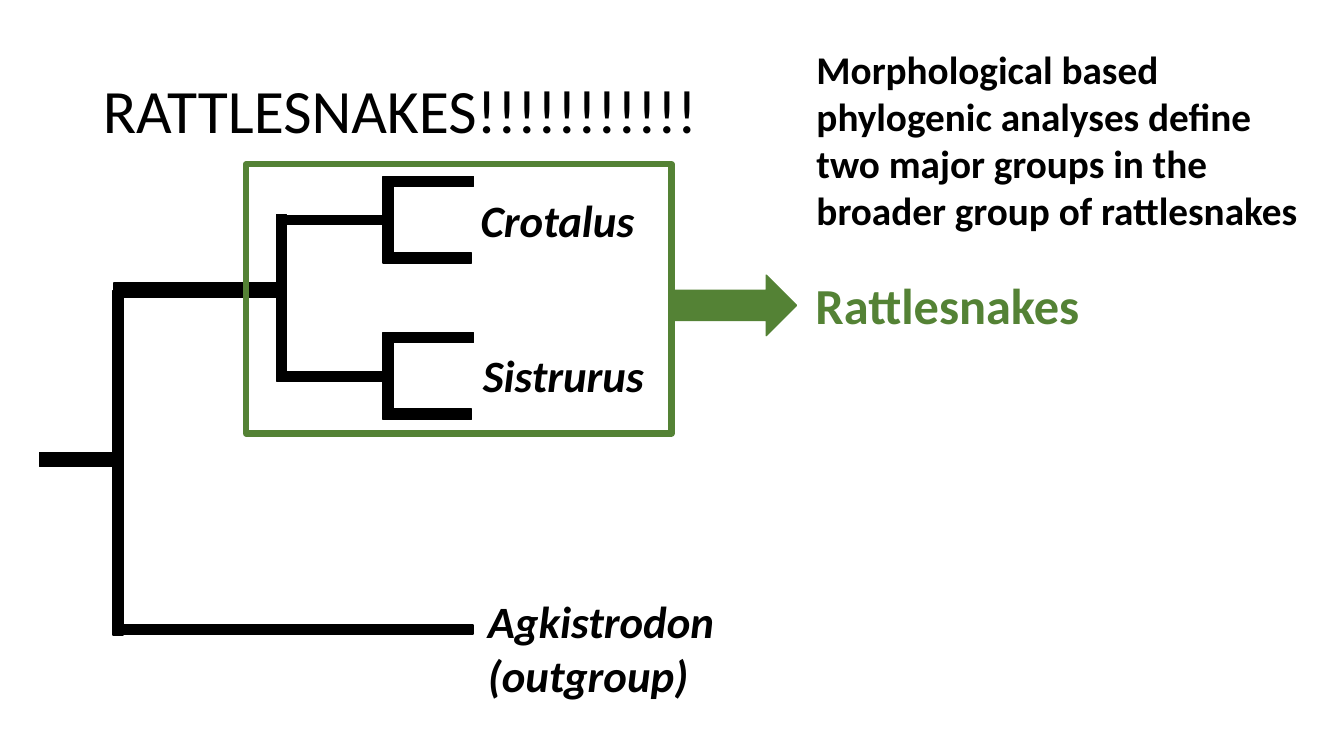
import pptx
import pptx.util
import pptx.dml.color
import pptx.enum.shapes
import pptx.enum.text

Inches = pptx.util.Inches
Pt = pptx.util.Pt
RGBColor = pptx.dml.color.RGBColor
MSO_SHAPE = pptx.enum.shapes.MSO_SHAPE

BLACK = RGBColor(0x00, 0x00, 0x00)
GREEN = RGBColor(0x54, 0x82, 0x35)


def add_figure(kind, box, color, line_width=1, filled=True):
    sp = slide.shapes.add_shape(kind, *[Inches(v) for v in box])
    sp.shadow.inherit = False
    if filled:
        sp.fill.solid()
        sp.fill.fore_color.rgb = color
    else:
        sp.fill.background()
    sp.line.color.rgb = color
    sp.line.width = Pt(line_width)


def write_text(sp, text, size, color=BLACK, bold=True, italic=False):
    tf = sp.text_frame
    tf.word_wrap = True
    tf.text = text
    for p in tf.paragraphs:
        for r in p.runs:
            r.font.name = "Calibri"
            r.font.size = Pt(size)
            r.font.bold = bold
            r.font.italic = italic
            r.font.color.rgb = color


prs = pptx.Presentation()
prs.slide_width = Inches(13.33)
prs.slide_height = Inches(7.5)
slide = prs.slides.add_slide(prs.slide_layouts[5])

# Title
title = slide.shapes.title
title.left, title.top = Inches(0.92), Inches(0.4)
title.width, title.height = Inches(11.5), Inches(1.45)
write_text(title, "RATTLESNAKES!!!!!!!!!!!", 44, bold=False)
title.text_frame.auto_size = pptx.enum.text.MSO_AUTO_SIZE.NONE
title.text_frame.vertical_anchor = pptx.enum.text.MSO_ANCHOR.MIDDLE
p = title.text_frame.paragraphs[0]
p.alignment = pptx.enum.text.PP_ALIGN.LEFT
p.line_spacing = 0.9

# Tree: root, outgroup and rattlesnake stem
branches = [
    (0.39, 4.49, 0.79, 0.14),
    (1.12, 2.88, 0.1, 3.42),
    (1.12, 6.2, 3.57, 0.09),
    (1.13, 2.81, 1.71, 0.14),
    (2.74, 2.13, 0.1, 1.62),
]
# Each genus is a stem that forks into two tips
for fork_top, stem_top in ((1.75, 2.14), (3.3, 3.69)):
    branches += [
        (2.74, stem_top, 1.06, 0.09),
        (3.8, fork_top, 0.1, 0.86),
        (3.84, fork_top, 0.86, 0.1),
        (3.82, fork_top + 0.76, 0.86, 0.1),
    ]
for branch in branches:
    add_figure(MSO_SHAPE.RECTANGLE, branch, BLACK)

# Rattlesnake group
add_figure(MSO_SHAPE.RECTANGLE, (2.44, 1.63, 4.22, 2.67), GREEN, 4.5, filled=False)
add_figure(MSO_SHAPE.RIGHT_ARROW, (6.67, 2.73, 1.23, 0.6), GREEN)

# Labels
summary = ("Morphological based phylogenic analyses define two major groups "
           "in the broader group of rattlesnakes")
labels = [
    ("Crotalus", (4.67, 1.86, 2.2, 0.64), 32, BLACK, True),
    ("Sistrurus", (4.69, 3.4, 2.2, 0.64), 32, BLACK, True),
    ("Agkistrodon\n(outgroup)", (4.74, 5.84, 2.55, 1.18), 32, BLACK, True),
    ("Rattlesnakes", (7.99, 2.67, 3.93, 0.71), 36, GREEN, False),
    (summary, (8, 0.4, 5.06, 1.99), 28, BLACK, False),
]
for text, box, size, color, italic in labels:
    tb = slide.shapes.add_textbox(*[Inches(v) for v in box])
    write_text(tb, text, size, color, italic=italic)

prs.save("out.pptx")
